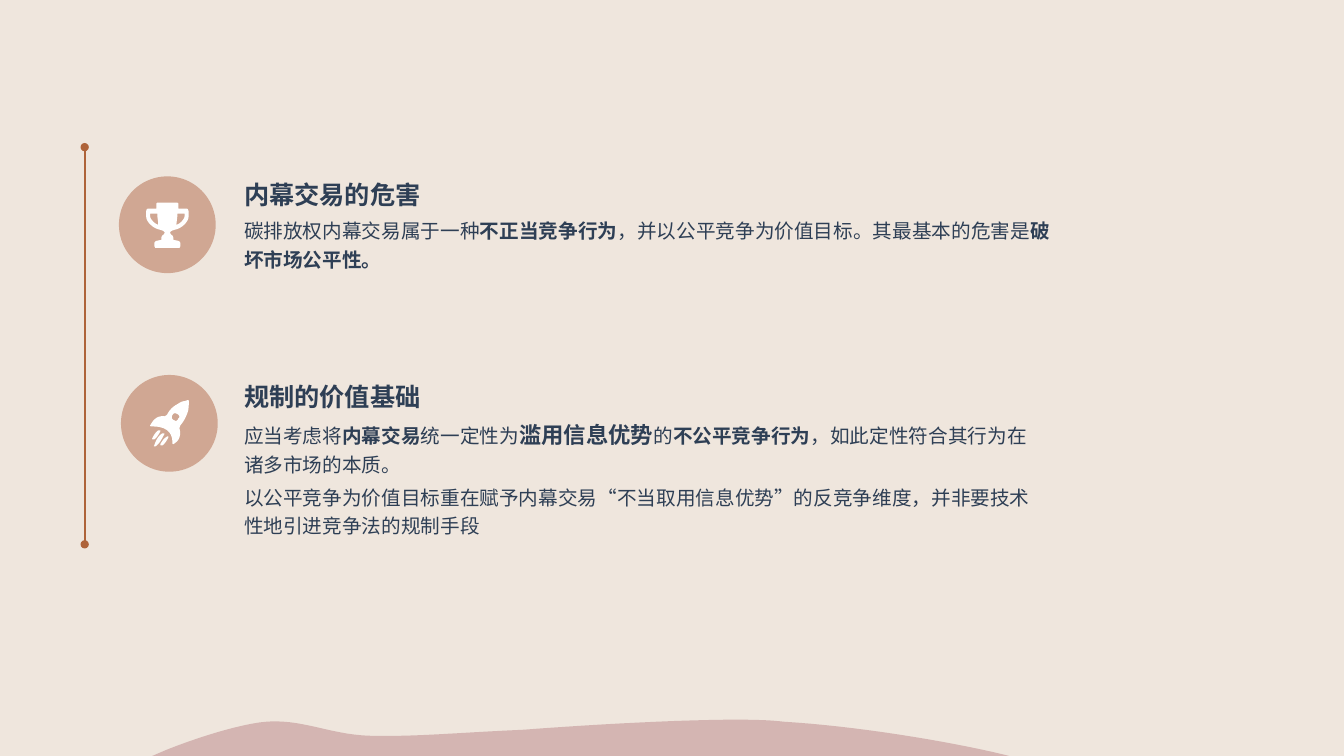
"""Build the slide on the harm of insider trading and the values behind its regulation."""
from dataclasses import dataclass

from lxml import etree
from pptx import Presentation
from pptx import util as u
from pptx.dml.color import RGBColor
from pptx.enum import shapes, text
from pptx.oxml.ns import qn

FONT = "Noto Sans CJK SC"
CREAM, RUST, CLAY, ROSE, NAVY, WHITE = "EFE6DD", "AE6339", "D0A793", "D4B5B2", "2E3F55", "FFFFFF"
CIRCLE = 0.96
TEXT_LEFT = 2.42

Point = tuple[float, float]


@dataclass
class Phrase:
    words: str
    bold: bool = False
    size: int = 14


@dataclass
class Topic:
    circle_left: float
    circle_top: float
    icon: list[list[Point]]
    text_top: float
    width: float
    height: float
    paragraphs: list[list[Phrase]]


def paint(fill, colour: str) -> None:
    fill.solid()
    fill.fore_color.rgb = RGBColor.from_string(colour)


def trace(*steps: tuple[float, ...], pieces: int = 8) -> list[Point]:
    """Turn points (2 numbers) and cubic curves (6 numbers) into an outline."""
    outline: list[Point] = [steps[0]]
    for step in steps[1:]:
        if len(step) == 2:
            outline.append(step)
            continue
        x0, y0 = outline[-1]
        x1, y1, x2, y2, x3, y3 = step
        for i in range(1, pieces + 1):
            t = i / pieces
            a, b, c, d = (1 - t) ** 3, 3 * t * (1 - t) ** 2, 3 * t * t * (1 - t), t ** 3
            outline.append((a * x0 + b * x1 + c * x2 + d * x3,
                            a * y0 + b * y1 + c * y2 + d * y3))
    return outline


def mirror(outline: list[Point], axis: float = 1.66) -> list[Point]:
    return [(2 * axis - x, y) for x, y in reversed(outline)]


def draw_outlines(slide, outlines: list[list[Point]], colour: str) -> None:
    start = outlines[0][0]
    builder = slide.shapes.build_freeform(u.Inches(start[0]), u.Inches(start[1]))
    for i, outline in enumerate(outlines):
        points = [(u.Inches(x), u.Inches(y)) for x, y in outline]
        if i:
            builder.move_to(*points[0])
        builder.add_line_segments(points[1:], close=True)
    finish(builder.convert_to_shape(), colour)


def finish(shape, colour: str) -> None:
    paint(shape.fill, colour)
    shape.line.fill.background()
    shape.shadow.inherit = False


def write(paragraph, words: str, *, size: int, bold: bool, colour: str) -> None:
    run = paragraph.add_run()
    run.text = words
    run.font.size = u.Pt(size)
    run.font.bold = bold
    run.font.name = FONT
    paint(run.font.fill, colour)
    etree.SubElement(run.font._element, qn("a:ea"), typeface=FONT)


def draw_timeline(slide) -> None:
    timeline = slide.shapes.add_connector(
        shapes.MSO_CONNECTOR.STRAIGHT, u.Inches(0.84), u.Inches(1.46), u.Inches(0.84), u.Inches(5.4))
    paint(timeline.line.fill, RUST)
    timeline.line.width = u.Pt(1.5)
    properties = timeline._element.spPr
    for end in ("a:headEnd", "a:tailEnd"):
        etree.SubElement(properties.find(qn("a:ln")), qn(end), type="oval")
    etree.SubElement(properties, qn("a:effectLst"))


def draw_topic(slide, body, topic: Topic) -> None:
    circle = slide.shapes.add_shape(
        shapes.MSO_SHAPE.OVAL, u.Inches(topic.circle_left), u.Inches(topic.circle_top),
        u.Inches(CIRCLE), u.Inches(CIRCLE))
    finish(circle, CLAY)
    draw_outlines(slide, topic.icon, WHITE)

    body.left, body.top = u.Inches(TEXT_LEFT), u.Inches(topic.text_top)
    body.width, body.height = u.Inches(topic.width), u.Inches(topic.height)
    frame = body.text_frame
    frame.margin_left = frame.margin_top = frame.margin_right = frame.margin_bottom = 0
    frame.word_wrap = True
    frame.auto_size = text.MSO_AUTO_SIZE.SHAPE_TO_FIT_TEXT
    frame.vertical_anchor = text.MSO_ANCHOR.TOP
    for i, phrases in enumerate(topic.paragraphs):
        paragraph = frame.add_paragraph() if i else frame.paragraphs[0]
        properties = paragraph._p.get_or_add_pPr()
        properties.set("marL", "0")
        properties.set("indent", "0")
        etree.SubElement(properties, qn("a:buNone"))
        paragraph.alignment = text.PP_ALIGN.LEFT
        paragraph.line_spacing = 1.2
        paragraph.space_before = u.Pt(3.5 if i else 0)
        for phrase in phrases:
            write(paragraph, phrase.words, size=phrase.size, bold=phrase.bold, colour=NAVY)


CUP_HALF = trace(
    (1.66, 2.01), (1.74, 2.01), (1.76, 2.01, 1.77, 2.01, 1.77, 2.03), (1.77, 2.07), (1.85, 2.07),
    (1.86, 2.07, 1.87, 2.08, 1.87, 2.1), (1.87, 2.15), (1.87, 2.2, 1.8, 2.27, 1.73, 2.28),
    (1.7, 2.29, 1.67, 2.3, 1.7, 2.33), (1.72, 2.34, 1.72, 2.36, 1.72, 2.38), (1.77, 2.39),
    (1.79, 2.4, 1.79, 2.41, 1.79, 2.44), (1.78, 2.46), (1.66, 2.46))
HANDLE = trace((1.83, 2.12), (1.76, 2.12), (1.76, 2.16, 1.75, 2.2, 1.75, 2.23),
               (1.79, 2.22, 1.83, 2.17, 1.83, 2.15))
TROPHY = [CUP_HALF + mirror(CUP_HALF), HANDLE, mirror(HANDLE)]

ROCKET = [
    trace((1.86, 3.97), (1.87, 3.97), (1.88, 3.99, 1.87, 4.02, 1.87, 4.06),
          (1.86, 4.1, 1.84, 4.16, 1.79, 4.22), (1.79, 4.22, 1.78, 4.24, 1.78, 4.25),
          (1.79, 4.28, 1.8, 4.36, 1.73, 4.4), (1.72, 4.41, 1.71, 4.41, 1.71, 4.39),
          (1.71, 4.34, 1.7, 4.23, 1.51, 4.23), (1.49, 4.23, 1.49, 4.23, 1.49, 4.22),
          (1.51, 4.19, 1.54, 4.12, 1.63, 4.13), (1.64, 4.13, 1.65, 4.12, 1.66, 4.11),
          (1.67, 4.09, 1.7, 4.04, 1.76, 4.01), (1.79, 3.99, 1.81, 3.98, 1.83, 3.98)),
    trace((1.74, 4.1), (1.73, 4.1, 1.72, 4.1, 1.71, 4.12), (1.7, 4.14, 1.7, 4.16, 1.73, 4.17),
          (1.74, 4.18, 1.76, 4.18, 1.77, 4.15), (1.79, 4.14, 1.78, 4.11, 1.74, 4.1)),
    trace((1.67, 4.33), (1.67, 4.34), (1.66, 4.36, 1.64, 4.4, 1.61, 4.42),
          (1.6, 4.42, 1.59, 4.42, 1.59, 4.41), (1.6, 4.39, 1.62, 4.35, 1.66, 4.33)),
    trace((1.63, 4.3), (1.63, 4.31), (1.61, 4.34, 1.59, 4.4, 1.54, 4.43),
          (1.53, 4.43, 1.52, 4.43, 1.53, 4.42), (1.54, 4.39, 1.56, 4.33, 1.61, 4.3)),
    trace((1.59, 4.27), (1.59, 4.28), (1.58, 4.3, 1.56, 4.34, 1.53, 4.36),
          (1.51, 4.36, 1.51, 4.36, 1.51, 4.35), (1.52, 4.33, 1.54, 4.29, 1.57, 4.27)),
]

HILL = trace(
    (7.21, 7.14), (6.33, 7.15, 5.19, 7.24, 5.19, 7.24), (4.51, 7.27, 4.13, 7.31, 3.68, 7.3),
    (3.23, 7.29, 2.94, 7.09, 2.5, 7.18), (2.28, 7.22, 1.95, 7.32, 1.65, 7.44), (1.51, 7.5),
    (10.01, 7.5), (9.97, 7.49), (9.4, 7.35, 8.46, 7.2, 7.77, 7.16),
    (7.61, 7.14, 7.42, 7.14, 7.21, 7.14), pieces=16)

TOPICS = [
    Topic(1.18, 1.75, TROPHY, 1.72, 8.17, 0.98, [
        [Phrase("内幕交易的危害", True, 18)],
        [Phrase("碳排放权内幕交易属于一种"), Phrase("不正当竞争行为", True),
         Phrase("，并以公平竞争为价值目标。其最基本的危害是"), Phrase("破坏市场公平性。", True)],
    ]),
    Topic(1.2, 3.72, ROCKET, 3.72, 7.85, 1.64, [
        [Phrase("规制的价值基础", True, 18)],
        [Phrase("应当考虑将"), Phrase("内幕交易", True), Phrase("统一定性为"),
         Phrase("滥用信息优势", True, 16), Phrase("的"), Phrase("不公平竞争行为", True),
         Phrase("，如此定性符合其行为在诸多市场的本质。")],
        [Phrase("以公平竞争为价值目标重在赋予内幕交易“不当取用信息优势”的反竞争维度，"
                "并非要技术性地引进竞争法的规制手段")],
    ]),
]


def main() -> None:
    deck = Presentation()
    deck.slide_width, deck.slide_height = u.Inches(13.33), u.Inches(7.5)
    slide = deck.slides.add_slide(deck.slide_layouts.get_by_name("Two Content"))
    paint(slide.background.fill, CREAM)
    heading, *bodies = slide.placeholders
    heading.element.getparent().remove(heading.element)
    draw_timeline(slide)
    for body, topic in zip(bodies, TOPICS):
        draw_topic(slide, body, topic)
    draw_outlines(slide, [HILL], ROSE)
    deck.save("out.pptx")


if __name__ == "__main__":
    main()
